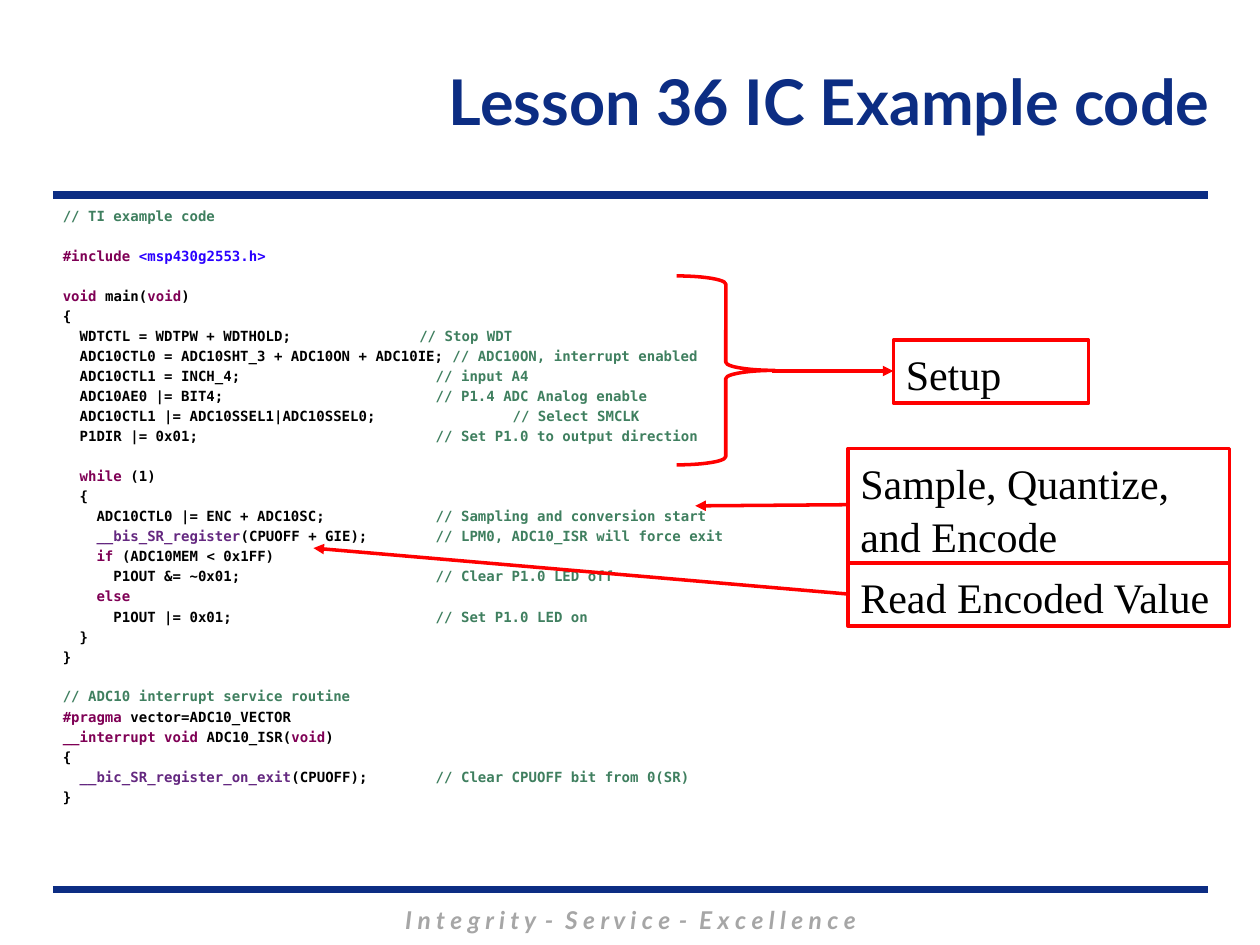
from dataclasses import dataclass

from lxml.etree import SubElement
from pptx import Presentation
from pptx.dml.color import RGBColor
from pptx.enum.shapes import MSO_CONNECTOR, MSO_SHAPE
from pptx.enum.text import MSO_ANCHOR, PP_ALIGN
from pptx.oxml.ns import qn
from pptx.util import Inches, Pt


@dataclass(frozen=True)
class Theme:
    navy: str = "0C2D83"
    grey: str = "A6A6A6"
    red: str = "FF0000"
    white: str = "FFFFFF"
    black: str = "000000"
    comment: str = "3F7F5F"
    keyword: str = "7F0055"
    header: str = "2A00FF"
    intrinsic: str = "642880"
    sans: str = "Lato"
    mono: str = "DejaVu Sans Mono"
    serif: str = "Times New Roman"
    title_size: float = 36
    label_size: float = 24
    motto_size: float = 14
    code_size: float = 8
    line_gap: float = 1.9
    block_gap: float = 13.1
    rule_width: float = 4.5
    callout_width: float = 2


T = Theme()
UNIT = 0.1
COLUMNS, ROWS = 100, 75
COMMENT_TAB = 2.96
K, N, C, H, I = T.keyword, T.black, T.comment, T.header, T.intrinsic

CODE_BLOCKS = [
    [[(C, "// TI example code")]],
    [[(K, "#include "), (H, "<msp430g2553.h>")]],
    [
        [(K, "void "), (N, "main("), (K, "void"), (N, ")")],
        [(N, "{")],
        [(N, "  WDTCTL = WDTPW + WDTHOLD;\t"), (C, "// Stop WDT")],
        [(N, "  ADC10CTL0 = ADC10SHT_3 + ADC10ON + ADC10IE; "), (C, "// ADC10ON, interrupt enabled")],
        [(N, "  ADC10CTL1 = INCH_4;\t"), (C, "// input A4")],
        [(N, "  ADC10AE0 |= BIT4;\t"), (C, "// P1.4 ADC Analog enable")],
        [(N, "  ADC10CTL1 |= ADC10SSEL1|ADC10SSEL0;\t"), (C, "// Select SMCLK")],
        [(N, "  P1DIR |= 0x01;\t"), (C, "// Set P1.0 to output direction")],
    ],
    [
        [(K, "  while"), (N, " (1)")],
        [(N, "  {")],
        [(N, "    ADC10CTL0 |= ENC + ADC10SC;\t"), (C, "// Sampling and conversion start")],
        [(I, "    __bis_SR_register"), (N, "(CPUOFF + GIE);\t"), (C, "// LPM0, ADC10_ISR will force exit")],
        [(K, "    if"), (N, " (ADC10MEM < 0x1FF)")],
        [(N, "      P1OUT &= ~0x01;\t"), (C, "// Clear P1.0 LED off")],
        [(K, "    else")],
        [(N, "      P1OUT |= 0x01;\t"), (C, "// Set P1.0 LED on")],
        [(N, "  }")],
        [(N, "}")],
    ],
    [
        [(C, "// ADC10 interrupt service routine")],
        [(K, "#pragma"), (N, " vector=ADC10_VECTOR")],
        [(K, "__interrupt void"), (N, " ADC10_ISR("), (K, "void"), (N, ")")],
        [(N, "{")],
        [(I, "  __bic_SR_register_on_exit"), (N, "(CPUOFF);\t"), (C, "// Clear CPUOFF bit from 0(SR)")],
        [(N, "}")],
    ],
]
OWN_TABS = {"// Stop WDT": 2.83, "// Select SMCLK": 3.57}


@dataclass(frozen=True)
class Box:
    col: float
    row: float
    cols: float
    rows: float

    def inner(self, col, row, cols, rows):
        return Box(self.col + col, self.row + row, cols, rows)

    def emu(self):
        return [Inches(v * UNIT) for v in (self.col, self.row, self.cols, self.rows)]


def set_font(font, name, size, color=None, bold=False, italic=False):
    font.name, font.size, font.bold, font.italic = name, Pt(size), bold, italic
    if color:
        font.color.rgb = RGBColor.from_string(color)


def set_line(shape, color, width):
    shape.line.color.rgb = RGBColor.from_string(color)
    shape.line.width = Pt(width)


def add_text_frame(s, box):
    tf = s.shapes.add_textbox(*box.emu()).text_frame
    tf.word_wrap = True
    return tf


def add_rule(s, box):
    x, y, w, _ = box.emu()
    rule = s.shapes.add_connector(MSO_CONNECTOR.STRAIGHT, x, y, x + w, y)
    set_line(rule, T.navy, T.rule_width)
    SubElement(rule._element.spPr, qn("a:effectLst"))


def add_title(s, box):
    tf = add_text_frame(s, box)
    tf.vertical_anchor = MSO_ANCHOR.MIDDLE
    p = tf.paragraphs[0]
    p.text = "Lesson 36 IC Example code"
    p.alignment = PP_ALIGN.RIGHT
    set_font(p.font, T.sans, T.title_size, T.navy, bold=True)


def add_motto(s, box):
    p = add_text_frame(s, box).paragraphs[0]
    p.alignment = PP_ALIGN.CENTER
    for text in ("I n t e g r i t y", " - ", "S e r v i c e", " - ", "E x c e l l e n c e"):
        r = p.add_run()
        r.text = text
        if text == " - ":
            r._r.get_or_add_rPr().set("spc", "180")
    set_font(p.font, T.sans, T.motto_size, T.grey, bold=True, italic=True)


def add_code(s, box):
    tf = add_text_frame(s, box)
    p = tf.paragraphs[0]
    for b, block in enumerate(CODE_BLOCKS):
        for i, line in enumerate(block):
            if b or i:
                p = tf.add_paragraph()
                p.space_before = Pt(T.line_gap if i else T.block_gap)
            tabs = SubElement(p._p.get_or_add_pPr(), qn("a:tabLst"))
            stop = OWN_TABS.get(line[-1][1], COMMENT_TAB)
            SubElement(tabs, qn("a:tab"), pos=str(Inches(stop)), algn="l")
            set_font(p.font, T.mono, T.code_size, bold=True)
            for color, text in line:
                r = p.add_run()
                r.text = text
                r.font.color.rgb = RGBColor.from_string(color)


def add_callout(s, box, text, adjustments, arrow_end):
    sp = s.shapes.add_shape(MSO_SHAPE.LINE_CALLOUT_1, *box.emu())
    sp.shadow.inherit = False
    for i, value in enumerate(adjustments):
        sp.adjustments[i] = value
    sp.fill.solid()
    sp.fill.fore_color.rgb = RGBColor.from_string(T.white)
    set_line(sp, T.red, T.callout_width)
    SubElement(sp.line._get_or_add_ln(), qn(f"a:{arrow_end}"), type="triangle")
    tf = sp.text_frame
    tf.word_wrap = True
    tf.vertical_anchor = MSO_ANCHOR.TOP
    p = tf.paragraphs[0]
    p.text = text
    p.alignment = PP_ALIGN.LEFT
    p.line_spacing = 1.05
    set_font(p.font, T.serif, T.label_size, T.black)


def add_annotations(s, box):
    add_callout(s, box.inner(17.2, 5.1, 15.5, 5), "Setup", (0.49, 0, 0.49, -0.62), "headEnd")
    brace = s.shapes.add_shape(MSO_SHAPE.RIGHT_BRACE, *box.inner(0, 0, 7.8, 15).emu())
    brace.shadow.inherit = False
    brace.fill.background()
    set_line(brace, T.red, T.callout_width)
    add_callout(s, box.inner(13.6, 13.7, 30.3, 9.1), "Sample, Quantize, and Encode",
                (0.49, 0, 0.5, -0.4), "tailEnd")
    add_callout(s, box.inner(13.6, 22.8, 30.3, 5), "Read Encoded Value",
                (0.49, 0, -0.24, -1.4), "tailEnd")


def main():
    prs = Presentation()
    prs.slide_width, prs.slide_height = Inches(COLUMNS * UNIT), Inches(ROWS * UNIT)
    s = prs.slides.add_slide(prs.slide_layouts[6])
    for row in (70.6, 15.5):
        add_rule(s, Box(4.2, row, 91.7, 0))
    add_motto(s, Box(14.2, 71.3, 71.7, 3.4))
    add_title(s, Box(20, 2, 77, 12))
    add_code(s, Box(4, 16, 92, 54))
    add_annotations(s, Box(53.7, 21.9, 43.9, 27.8))
    prs.save("out.pptx")


if __name__ == "__main__":
    main()
